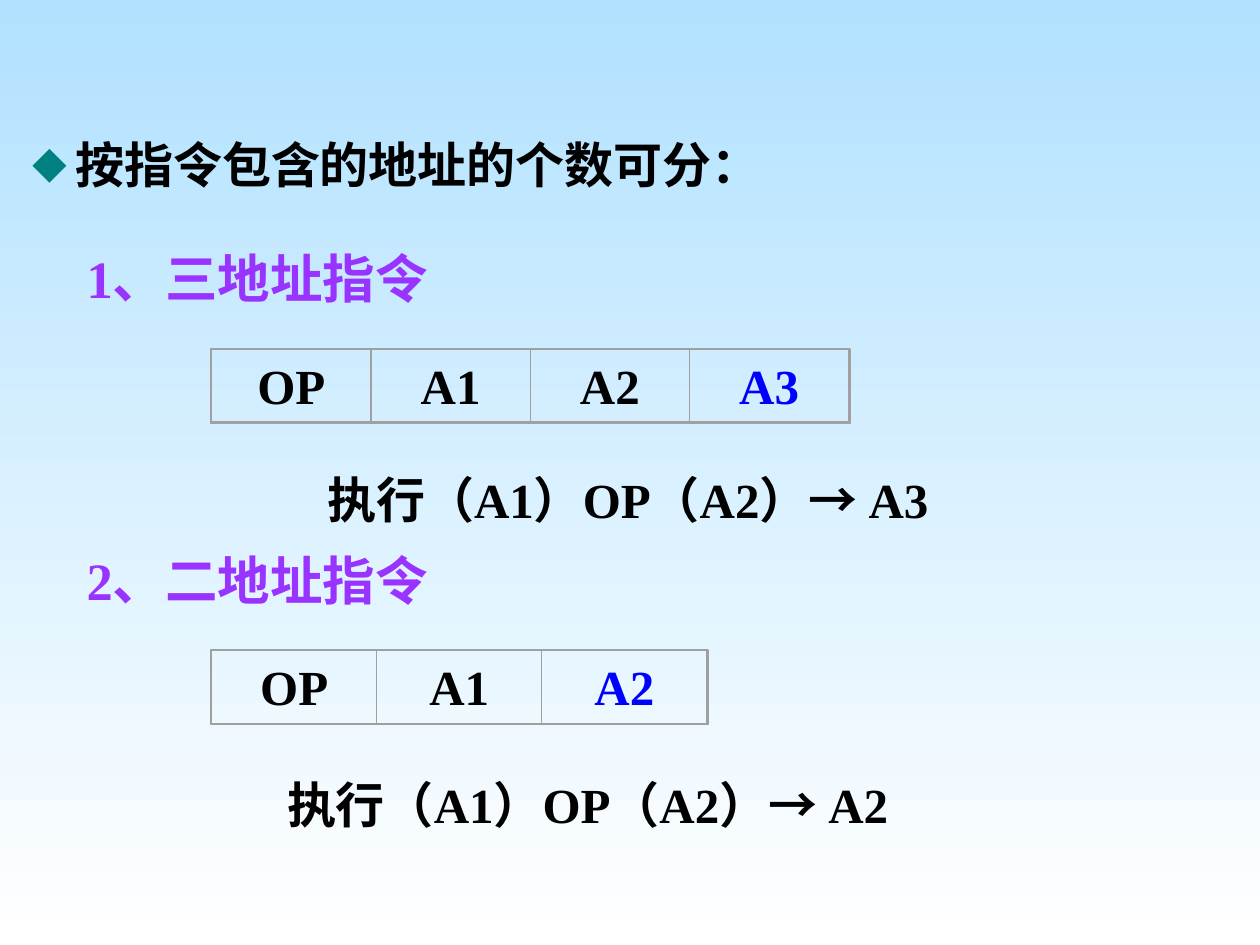
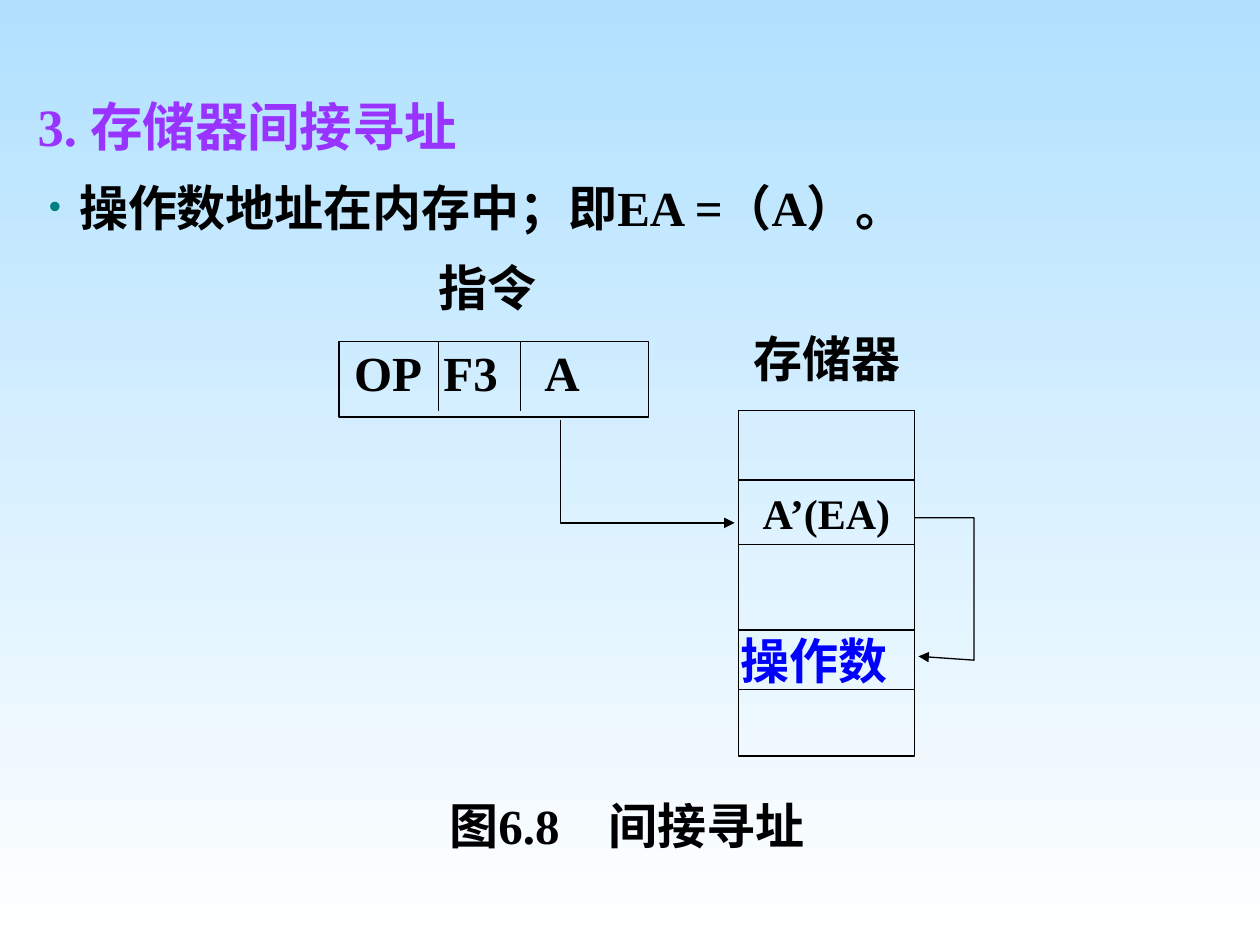
import dataclasses
import typing

import lxml.etree
import pptx
import pptx.dml.color
import pptx.enum.shapes
import pptx.enum.text
import pptx.oxml.ns
import pptx.util

ALIGN = pptx.enum.text.PP_ALIGN
ANCHOR = pptx.enum.text.MSO_ANCHOR
SHAPES = pptx.enum.shapes
Point = tuple[float, float]
qn = pptx.oxml.ns.qn


@dataclasses.dataclass(frozen=True)
class Theme:
    font: str = "Times New Roman"
    sky: str = "B1E1FF"
    white: str = "FFFFFF"
    ink: str = "000000"
    title: str = "9933FF"
    accent: str = "0000FF"
    bullet: str = "008080"
    border: str = "A0A0A0"
    head: int = 30
    body: int = 28
    small: int = 24
    line: float = 0.75
    hair: float = 0


THEME = Theme()

# The slide is a grid of 100 columns by 75 rows
WIDTH, HEIGHT = pptx.util.Inches(10), pptx.util.Inches(7.5)
COL, ROW = WIDTH / 100, HEIGHT / 75


@dataclasses.dataclass(frozen=True)
class Box:
    left: float
    top: float
    wide: float
    high: float

    def place(self) -> tuple[int, int, int, int]:
        return (round(self.left * COL), round(self.top * ROW),
                round(self.wide * COL), round(self.high * ROW))


@dataclasses.dataclass(frozen=True)
class Bullet:
    char: str
    face: str
    margin: float
    hang: float


@dataclasses.dataclass(frozen=True)
class Para:
    text: str
    size: int = THEME.body
    color: str = THEME.ink
    align: typing.Any = ALIGN.LEFT
    after: float = 0
    bullet: typing.Optional[Bullet] = None


@dataclasses.dataclass(frozen=True)
class Label:
    box: Box
    paras: tuple[Para, ...]
    pad: tuple[float, float] = (1, 0.5)
    anchor: typing.Any = ANCHOR.TOP


@dataclasses.dataclass(frozen=True)
class Format:
    left: float
    top: float
    cell: float
    names: tuple[str, ...]


def shade(color: str) -> pptx.dml.color.RGBColor:
    return pptx.dml.color.RGBColor.from_string(color)


# Text
def add_bullet(para, bullet: Bullet) -> None:
    props = para._p.get_or_add_pPr()
    props.set("marL", str(round(bullet.margin * COL)))
    props.set("indent", str(round(-bullet.hang * COL)))
    tint = lxml.etree.SubElement(props, qn("a:buClr"))
    lxml.etree.SubElement(tint, qn("a:srgbClr"), val=THEME.bullet)
    lxml.etree.SubElement(props, qn("a:buSzPct"), val="71000")
    lxml.etree.SubElement(props, qn("a:buFont"), typeface=bullet.face)
    lxml.etree.SubElement(props, qn("a:buChar"), char=bullet.char)


def write(shape, paras: tuple[Para, ...], pad: Point, anchor) -> None:
    frame = shape.text_frame
    frame.word_wrap = True
    frame.vertical_anchor = anchor
    frame.margin_left = frame.margin_right = round(pad[0] * COL)
    frame.margin_top = frame.margin_bottom = round(pad[1] * ROW)
    for index, item in enumerate(paras):
        para = frame.add_paragraph() if index else frame.paragraphs[0]
        para.text = item.text
        para.alignment = item.align
        para.space_after = pptx.util.Pt(item.after)
        if item.bullet:
            add_bullet(para, item.bullet)
        font = para.font
        font.name, font.size, font.bold = THEME.font, pptx.util.Pt(item.size), True
        font.color.rgb = shade(item.color)


def add_label(slide, label: Label) -> None:
    shape = slide.shapes.add_textbox(*label.box.place())
    write(shape, label.paras, label.pad, label.anchor)


# Lines and frames
def style(shape, color: str, width: float) -> None:
    shape.shadow.inherit = False
    shape.fill.background()
    shape.line.color.rgb = shade(color)
    shape.line.width = pptx.util.Pt(width)


def add_frame(slide, box: Box, color: str = THEME.ink, width: float = THEME.line):
    shape = slide.shapes.add_shape(SHAPES.MSO_SHAPE.RECTANGLE, *box.place())
    style(shape, color, width)
    return shape


def add_rule(slide, start: Point, end: Point) -> None:
    ends = [round(x * unit) for spot in (start, end) for x, unit in zip(spot, (COL, ROW))]
    rule = slide.shapes.add_connector(SHAPES.MSO_CONNECTOR.STRAIGHT, *ends)
    rule.line.color.rgb = shade(THEME.ink)
    rule.line.width = pptx.util.Pt(THEME.line)
    lxml.etree.SubElement(rule._element.spPr, qn("a:effectLst"))


def add_arrow(slide, *spots: Point) -> None:
    first, *rest = [(round(x * COL), round(y * ROW)) for x, y in spots]
    build = slide.shapes.build_freeform(*first)
    build.add_line_segments(rest, close=False)
    shape = build.convert_to_shape()
    style(shape, THEME.ink, THEME.line)
    line = shape._element.spPr.find(qn("a:ln"))
    lxml.etree.SubElement(line, qn("a:tailEnd"), type="triangle")


def add_format(slide, form: Format) -> None:
    """Draw an instruction format; its last field is the result."""
    for index, name in enumerate(form.names):
        last = index == len(form.names) - 1
        box = Box(form.left + index * form.cell, form.top, form.cell, 5.8)
        field = Para(name, color=THEME.accent if last else THEME.ink, align=ALIGN.CENTER)
        cell = add_frame(slide, box, THEME.border, THEME.hair)
        write(cell, (field,), (0.2, 0.5), ANCHOR.TOP)
    total = form.cell * len(form.names) + 0.2
    add_frame(slide, Box(form.left - 0.1, form.top, total, 5.9), THEME.border)


def add_page(deck):
    slide = deck.slides.add_slide(deck.slide_layouts[6])
    fill = slide.background.fill
    fill.gradient()
    fill.gradient_angle = 270
    for stop, color in zip(fill.gradient_stops, (THEME.sky, THEME.white)):
        stop.color.rgb = shade(color)
    return slide


# Slide 1: instruction formats by number of addresses
def draw_formats(deck) -> None:
    slide = add_page(deck)
    diamond = Bullet("◆", "Noto Sans CJK SC", 3.4, 3.4)
    labels = (
        Label(Box(1.6, 10.2, 62.6, 5.7), (Para("按指令包含的地址的个数可分：", bullet=diamond),)),
        Label(Box(5.9, 19, 46.4, 6), (Para("1、三地址指令", THEME.head, THEME.title),)),
        Label(Box(25, 36.8, 62.6, 5.7), (Para("执行（A1）OP（A2）→ A3"),)),
        Label(Box(5.9, 43, 79.3, 6), (Para("2、二地址指令", THEME.head, THEME.title),)),
        Label(Box(21.8, 61, 57.2, 5.7), (Para("执行（A1）OP（A2）→ A2"),)),
    )
    for label in labels:
        add_label(slide, label)
    add_format(slide, Format(16.8, 27.7, 12.64, ("OP", "A1", "A2", "A3")))
    add_format(slide, Format(16.8, 51.6, 13.1, ("OP", "A1", "A2")))


# Slide 2: memory indirect addressing
def draw_memory(deck) -> None:
    slide = add_page(deck)
    dot = Bullet("•", "Arial", 3.3, 2.4)
    left, right = 58.6, 72.6
    wide = right - left
    tight = (0.2, 0.1)
    center = ALIGN.CENTER

    # Instruction and memory frames
    add_frame(slide, Box(26.9, 27.1, 24.6, 6))
    for col in (34.8, 41.3):
        add_rule(slide, (col, 27.1), (col, 32.6))
    add_frame(slide, Box(left, 32.6, wide, 27.4))
    for row in (38.1, 43.2, 50, 54.7):
        add_rule(slide, (left, row), (right, row))

    # Address paths
    add_arrow(slide, (44.5, 33.3), (44.5, 41.5), (58.3, 41.5))
    add_arrow(slide, (right, 41.1), (77.3, 41.1), (77.3, 52.4), (72.9, 52.1))

    # Words
    labels = (
        Label(Box(2, 7, 70.7, 16.9), (
            Para("3. 存储器间接寻址", THEME.head, THEME.title, after=11.2),
            Para("操作数地址在内存中；即EA =（A）。", bullet=dot))),
        Label(Box(34.8, 20.4, 14.1, 5), (Para("指令"),), (0, 0)),
        Label(Box(59.8, 26.1, 14.1, 5), (Para("存储器"),), (0, 0)),
        Label(Box(27.9, 27.1, 6.9, 6), (Para("OP"),), tight),
        Label(Box(35, 27.1, 6.3, 6), (Para("F3"),), tight),
        Label(Box(43, 27.1, 8.5, 6), (Para("A"),), tight),
        Label(Box(left, 38.1, wide, 5.1), (Para("A’(EA)", THEME.small, align=center),),
              tight, ANCHOR.MIDDLE),
        Label(Box(left, 50, wide, 4.7), (Para("操作数", color=THEME.accent),),
              tight, ANCHOR.MIDDLE),
        Label(Box(30.4, 63, 38.7, 6.2), (Para("图6.8　间接寻址", align=center),), tight),
    )
    for label in labels:
        add_label(slide, label)


def main() -> None:
    deck = pptx.Presentation()
    deck.slide_width, deck.slide_height = WIDTH, HEIGHT
    draw_formats(deck)
    draw_memory(deck)
    deck.save("out.pptx")


if __name__ == "__main__":
    main()
